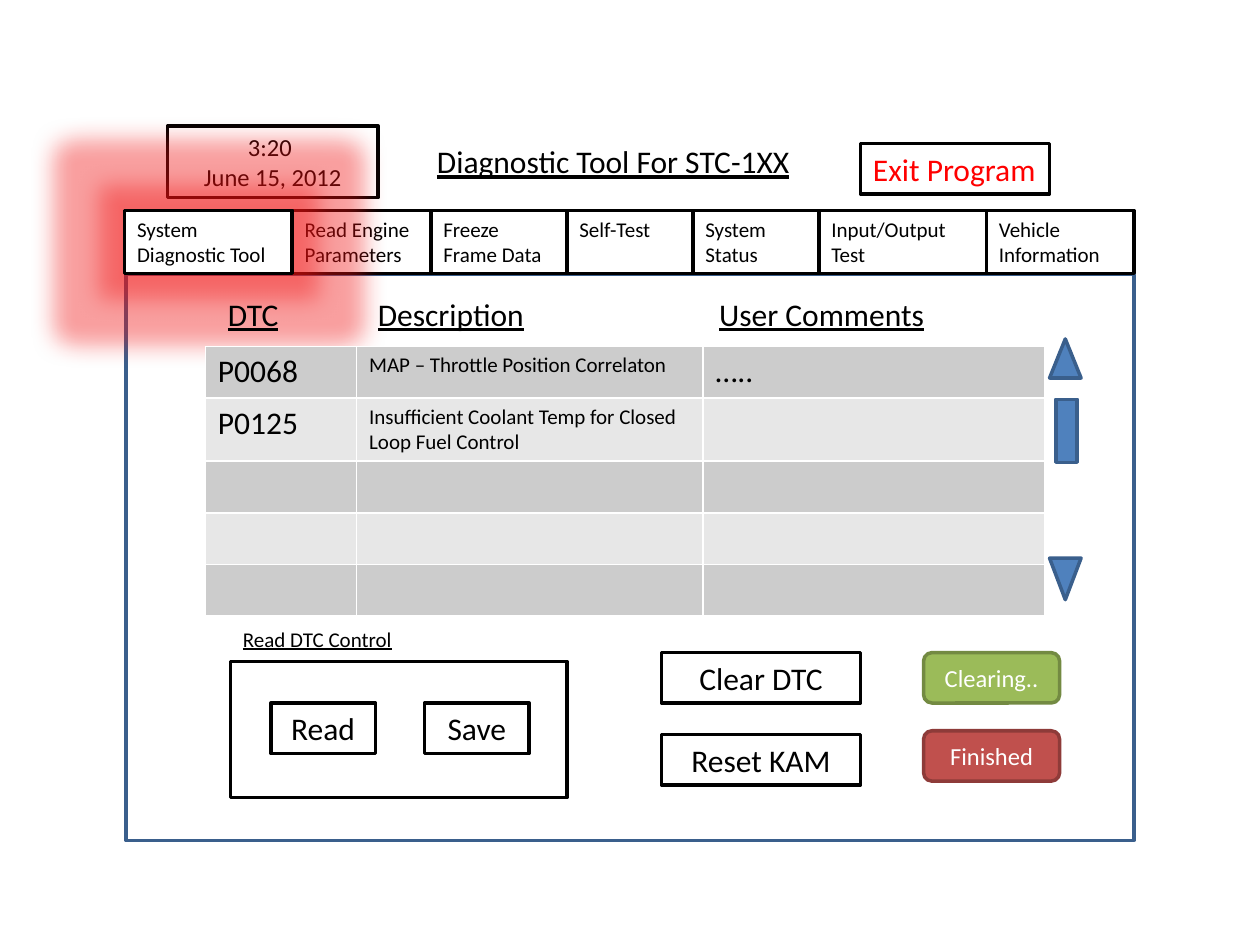
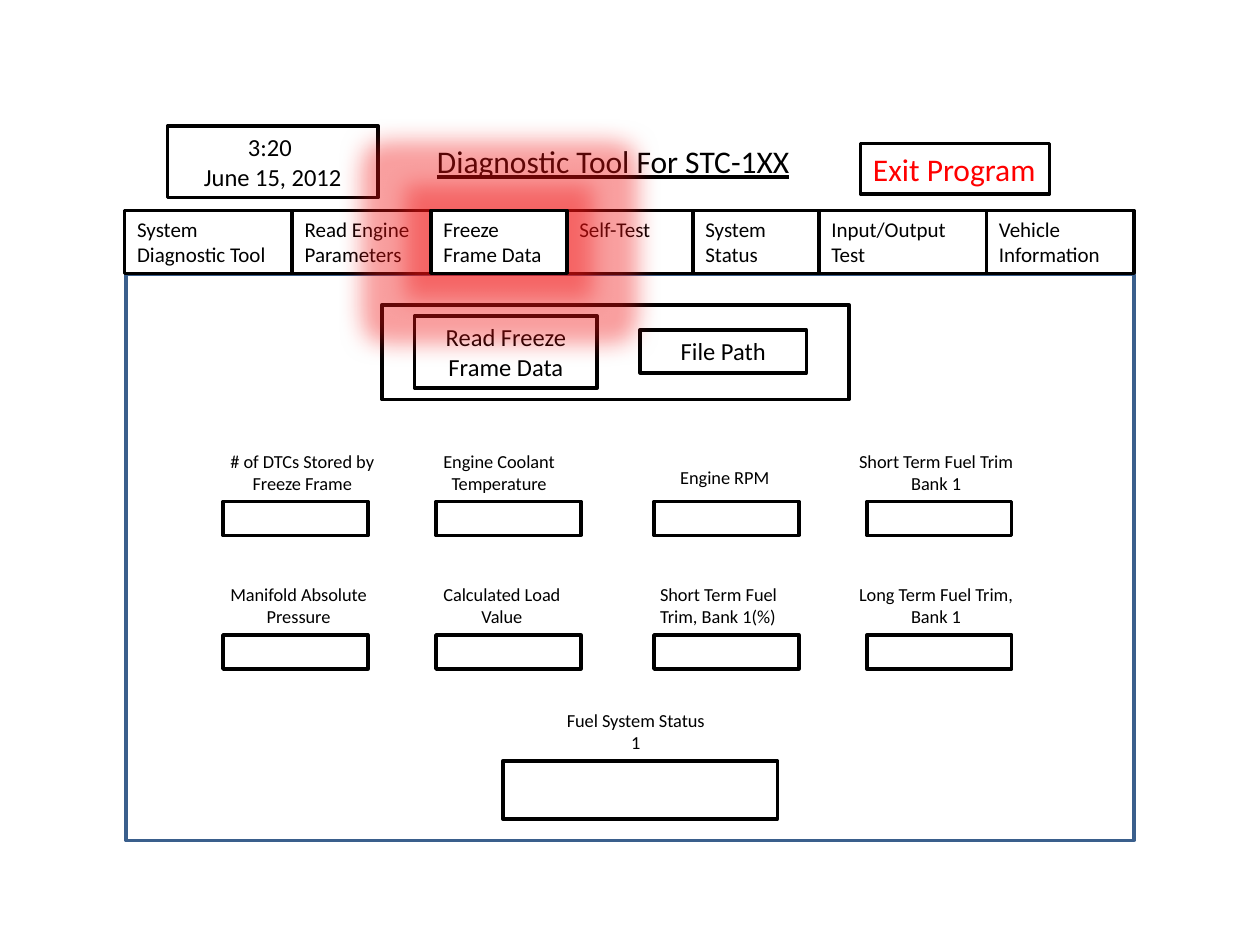
import pptx
import pptx.util
import pptx.dml.color
import pptx.enum.shapes
import pptx.enum.text
import lxml.etree

RGBColor = pptx.dml.color.RGBColor
BLACK = RGBColor(0x00, 0x00, 0x00)
WHITE = RGBColor(0xFF, 0xFF, 0xFF)
RED = RGBColor(0xFF, 0x00, 0x00)
BLUE = RGBColor(0x4F, 0x81, 0xBD)
BLUE_EDGE = RGBColor(0x3A, 0x5F, 0x8C)
GREEN = RGBColor(0x9B, 0xBB, 0x59)
GREEN_EDGE = RGBColor(0x73, 0x8A, 0x42)
BRICK = RGBColor(0xC0, 0x50, 0x4D)
BRICK_EDGE = RGBColor(0x8E, 0x3B, 0x39)
BANDS = (RGBColor(0xCC, 0xCC, 0xCC), RGBColor(0xE7, 0xE7, 0xE7))

FONT = "Calibri"
DRAWING_NS = "http://schemas.openxmlformats.org/drawingml/2006/main"
LEFT = pptx.enum.text.PP_ALIGN.LEFT
CENTER = pptx.enum.text.PP_ALIGN.CENTER
KIND = pptx.enum.shapes.MSO_SHAPE
FIT = pptx.enum.text.MSO_AUTO_SIZE.SHAPE_TO_FIT_TEXT
MIDDLE = pptx.enum.text.MSO_ANCHOR.MIDDLE

TITLE = "Diagnostic Tool For STC-1XX"
CLOCK = ("3:20 ", "June 15, 2012")
EXIT = "Exit Program"
TABS = [
    ("System Diagnostic Tool", 1.33), ("Read Engine Parameters", 1.1),
    ("Freeze Frame Data", 1.08), ("Self-Test", 1), ("System Status", 1),
    ("Input/Output Test", 1.33), ("Vehicle Information", 1.17),
]
TABS_LEFT, TABS_TOP, TAB_HEIGHT = 0.99, 1.67, 0.5

DTC_HEADINGS = [("DTC", 1.71, 0.61), ("Description", 2.9, 1.38), ("User Comments", 5.61, 1.84)]
DTC_COLUMNS = [(1.2, 18), (2.75, 12), (2.71, 18)]
DTC_ROWS = [
    ("P0068", "MAP – Throttle Position Correlaton", "….."),
    ("P0125", "Insufficient Coolant Temp for Closed Loop Fuel Control", ""),
    ("", "", ""), ("", "", ""), ("", "", ""),
]
READ_CONTROL = "Read DTC Control"
DTC_BUTTONS = [
    ("Read", 2.15, 5.58, 0.83), ("Save", 3.37, 5.58, 0.83),
    ("Clear DTC", 5.25, 5.18, 1.58), ("Reset KAM", 5.25, 5.83, 1.58),
]
STATES = [("Clearing..", 5.18, GREEN, GREEN_EDGE), ("Finished", 5.8, BRICK, BRICK_EDGE)]
SCROLL_PARTS = [
    (KIND.ISOSCELES_TRIANGLE, (8.33, 2.69, 0.25, 0.31)),
    (KIND.FLOWCHART_MERGE, (8.33, 4.43, 0.25, 0.33)),
    (KIND.RECTANGLE, (8.38, 3.17, 0.17, 0.5)),
]

FREEZE_BUTTONS = [
    ("Read Freeze Frame Data", (3.29, 2.51, 1.45, 0.57)),
    ("File Path", (5.08, 2.62, 1.32, 0.34)),
]
READING_COLUMNS = (1.77, 3.46, 5.19, 6.88)
READING_TOP, READING_STEP = 3.98, 1.06
READINGS = [
    [(("# of DTCs Stored by", "Freeze Frame"), 1.73, 1.37),
     (("Engine Coolant", "Temperature"), 3.42, 1.1),
     (("Engine RPM",), 5.3, 0.92),
     (("Short Term Fuel Trim", "Bank 1"), 6.72, 1.46)],
    [(("Manifold Absolute", "Pressure"), 1.73, 1.34),
     (("Calculated Load", "Value"), 3.42, 1.15),
     (("Short Term Fuel", "Trim, Bank 1(%)"), 5.14, 1.19),
     (("Long Term Fuel Trim,", "Bank 1"), 6.72, 1.46)],
]
LEFT_SECOND_LINES = {"Trim, Bank 1(%)"}
FUEL_STATUS = ("Fuel System Status", "1")


def inches(at):
    return [pptx.util.Inches(length) for length in at]


def write(frame, lines, size, color=BLACK, aligns=(LEFT,), underline=None):
    for index, line in enumerate(lines):
        paragraph = frame.paragraphs[0] if index == 0 else frame.add_paragraph()
        paragraph.alignment = aligns[min(index, len(aligns) - 1)]
        run = paragraph.add_run()
        run.text = line
        run.font.name = FONT
        run.font.size = pptx.util.Pt(size)
        run.font.color.rgb = color
        run.font.underline = underline


def shape(canvas, at, kind=KIND.RECTANGLE, fill=WHITE, edge=BLACK):
    drawn = canvas.add_shape(kind, *inches(at))
    drawn.shadow.inherit = False
    if fill is None:
        drawn.fill.background()
    else:
        drawn.fill.solid()
        drawn.fill.fore_color.rgb = fill
    drawn.line.color.rgb = edge
    drawn.line.width = pptx.util.Pt(2)
    return drawn


def box(canvas, at, lines, size, color=BLACK, align=CENTER):
    drawn = shape(canvas, at)
    frame = drawn.text_frame
    frame.word_wrap = True
    frame.auto_size = FIT
    frame.vertical_anchor = pptx.enum.text.MSO_ANCHOR.TOP
    write(frame, lines, size, color, (align,))
    return drawn


def label(canvas, at, lines, size, aligns=(LEFT,), underline=None):
    frame = canvas.add_textbox(*inches(at)).text_frame
    frame.word_wrap = False
    frame.auto_size = FIT
    write(frame, lines, size, BLACK, aligns, underline)


def tab(canvas, index):
    left = TABS_LEFT + sum(width for _, width in TABS[:index])
    name, width = TABS[index]
    return box(canvas, (left, TABS_TOP, width, TAB_HEIGHT), [name], 12, align=LEFT)


def selected_tab(canvas, index):
    properties = tab(canvas, index)._element.spPr
    effects = properties.find(f"{{{DRAWING_NS}}}effectLst")
    glow = lxml.etree.SubElement(effects, f"{{{DRAWING_NS}}}glow", rad=str(pptx.util.Pt(27)))
    tint = lxml.etree.SubElement(glow, f"{{{DRAWING_NS}}}srgbClr", val="F01010")
    lxml.etree.SubElement(tint, f"{{{DRAWING_NS}}}alpha", val="40000")


def screen(deck, selected):
    canvas = deck.slides.add_slide(deck.slide_layouts[6]).shapes
    shape(canvas, (1, 2.18, 8, 4.49), fill=None, edge=BLUE_EDGE)
    label(canvas, (3.37, 1.08, 3.03, 0.4), [TITLE], 18, underline=True)
    for index in range(len(TABS)):
        if index != selected:
            tab(canvas, index)
    box(canvas, (6.83, 1.14, 1.5, 0.4), [EXIT], 18, RED, LEFT)
    box(canvas, (1.33, 1, 1.67, 0.57), CLOCK, 14)
    return canvas


def dtc_table(canvas):
    widths = [width for width, _ in DTC_COLUMNS]
    at = (1.63, 2.75, sum(widths), 0.41 * len(DTC_ROWS))
    table = canvas.add_table(len(DTC_ROWS), len(widths), *inches(at)).table
    table.first_row = False
    table.horz_banding = False
    for column, width in zip(table.columns, widths):
        column.width = pptx.util.Inches(width)
    for row, texts in enumerate(DTC_ROWS):
        for column, text in enumerate(texts):
            cell = table.cell(row, column)
            cell.fill.solid()
            cell.fill.fore_color.rgb = BANDS[row % 2]
            if text:
                write(cell.text_frame, [text], DTC_COLUMNS[column][1])


def diagnostic_screen(deck):
    canvas = screen(deck, 0)
    selected_tab(canvas, 0)
    shape(canvas, (1.83, 5.25, 2.67, 1.08))
    dtc_table(canvas)
    for text, left, width in DTC_HEADINGS:
        label(canvas, (left, 2.29, width, 0.4), [text], 18, underline=True)
    label(canvas, (1.83, 4.92, 1.39, 0.3), [READ_CONTROL], 12, underline=True)
    for text, left, top, width in DTC_BUTTONS:
        box(canvas, (left, top, width, 0.4), [text], 18)
    for text, top, fill, edge in STATES:
        state = shape(canvas, (7.33, top, 1.08, 0.4), KIND.ROUNDED_RECTANGLE, fill, edge)
        state.text_frame.vertical_anchor = MIDDLE
        write(state.text_frame, [text], 14, WHITE, (CENTER,))
    for kind, at in SCROLL_PARTS:
        shape(canvas, at, kind, BLUE, BLUE_EDGE)


def reading(canvas, field, lines, left, width):
    group = canvas.add_group_shape().shapes
    shape(group, field)
    rise, height = (0.46, 0.45) if len(lines) == 2 else (0.33, 0.28)
    second = LEFT if lines[-1] in LEFT_SECOND_LINES else CENTER
    label(group, (left, field[1] - rise, width, height), lines, 10.5, (LEFT, second))


def freeze_frame_screen(deck):
    canvas = screen(deck, 2)
    shape(canvas, (3.03, 2.42, 3.71, 0.75))
    for text, at in FREEZE_BUTTONS:
        box(canvas, at, [text], 14)
    for row, readings in enumerate(READINGS):
        top = READING_TOP + row * READING_STEP
        for field_left, (lines, left, width) in zip(READING_COLUMNS, readings):
            reading(canvas, (field_left, top, 1.15, 0.27), lines, left, width)
    reading(canvas, (3.99, 6.04, 2.18, 0.46), FUEL_STATUS, 4.4, 1.33)
    selected_tab(canvas, 2)


def main():
    deck = pptx.Presentation()
    deck.slide_width, deck.slide_height = inches((10, 7.5))
    diagnostic_screen(deck)
    freeze_frame_screen(deck)
    deck.save("out.pptx")


if __name__ == "__main__":
    main()
